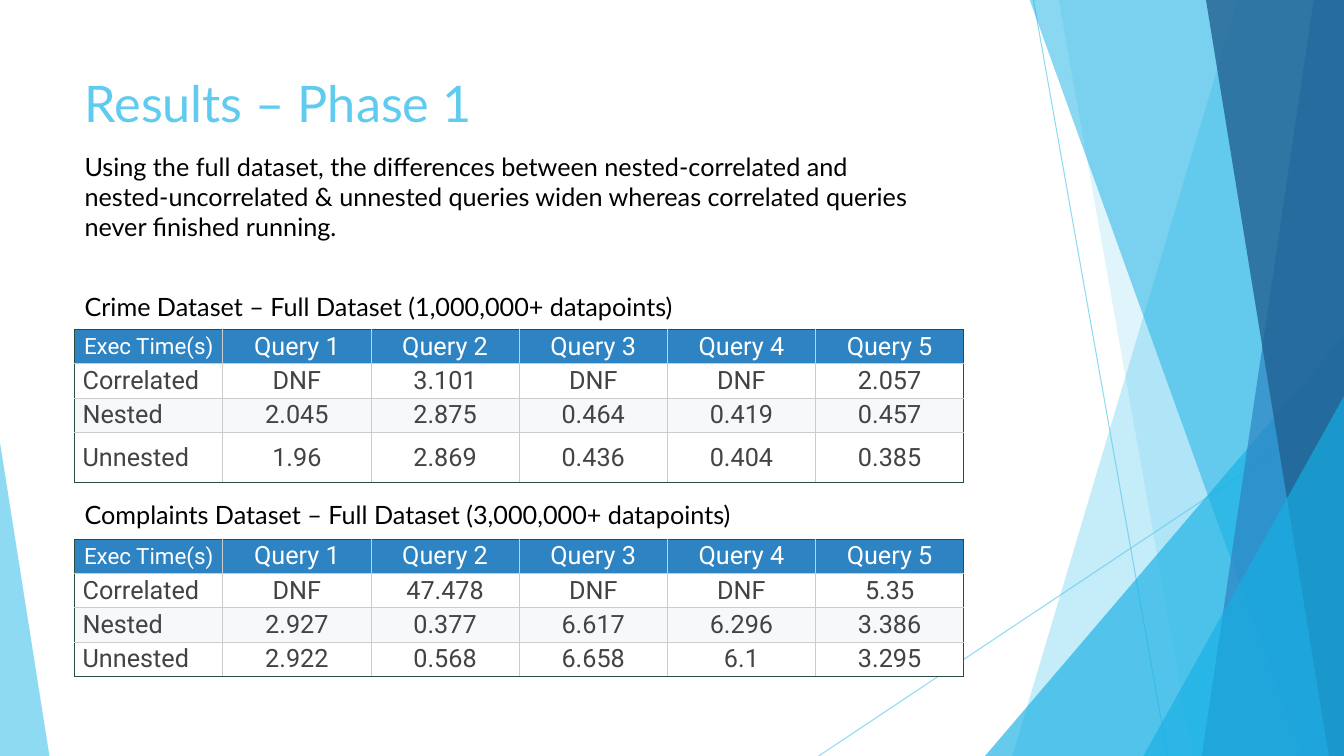
from dataclasses import dataclass

from lxml import etree
from pptx import Presentation
from pptx import util as u
from pptx.dml import color as dml
from pptx.enum import shapes, text
from pptx.oxml import ns

COLORS = {
    "sky": "5FCBEF",
    "cyan": "17B0E4",
    "blue": "2E83C3",
    "navy": "226292",
    "white": "FFFFFF",
    "stripe": "F6F8F9",
    "grid": "CCCCCC",
    "frame": "284E3F",
    "value": "434343",
    "black": "000000",
}
COLUMN_WIDTH = 1.47
LEFT = 0.74


@dataclass
class Ray:
    start: tuple[float, float]
    end: tuple[float, float]


@dataclass
class Shard:
    points: list[tuple[float, float]]
    color: str
    opacity: int


@dataclass
class Wedge:
    left: float
    top: float
    width: float
    height: float
    apex: int
    color: str
    opacity: int


@dataclass
class Caption:
    words: str
    top: float
    width: float
    height: float
    size: int = 18
    color: str = "black"


@dataclass
class Timing:
    top: float
    row_heights: list[float]
    results: dict[str, list[str]]


RAYS = [Ray((10.25, 0), (11.58, 7.5)), Ray((13.33, 4.03), (8.12, 7.5))]


def band(top_left: float, bottom_left: float, color: str, opacity: int) -> Shard:
    return Shard([(top_left, -0.01), (13.33, -0.01), (13.33, 7.5), (bottom_left, 7.5)], color, opacity)


FACETS = [
    band(12.28, 10.04, "sky", 36),
    band(10.5, 11.83, "sky", 20),
    Wedge(9.77, 3.33, 3.56, 4.17, 1, "cyan", 66),
    band(10.21, 12.91, "cyan", 50),
    band(13.03, 11.92, "blue", 70),
    band(11.96, 13.18, "navy", 80),
    Wedge(11.34, 3.93, 1.99, 3.57, 1, "cyan", 66),
    Wedge(0, 4.39, 0.49, 3.11, 0, "sky", 70),
]

CAPTIONS = [
    Caption("Results – Phase 1", 0.67, 9.4, 0.75, 36, "sky"),
    Caption("Crime Dataset – Full Dataset (1,000,000+ datapoints)", 2.84, 6.95, 0.4),
    Caption("Complaints Dataset – Full Dataset (3,000,000+ datapoints)", 4.9, 7.32, 0.4),
    Caption(
        "Using the full dataset, the differences between nested-correlated and "
        "nested-uncorrelated & unnested queries widen whereas correlated queries "
        "never finished running.",
        1.45, 8.54, 1.31,
    ),
]

HEADINGS = ["Exec Time(s)"] + [f"Query {number}" for number in range(1, 6)]
TIMINGS = [
    Timing(3.27, [0.34, 0.34, 0.34, 0.5], {
        "Correlated": ["DNF", "3.101", "DNF", "DNF", "2.057"],
        "Nested": ["2.045", "2.875", "0.464", "0.419", "0.457"],
        "Unnested": ["1.96", "2.869", "0.436", "0.404", "0.385"],
    }),
    Timing(5.35, [0.34] * 4, {
        "Correlated": ["DNF", "47.478", "DNF", "DNF", "5.35"],
        "Nested": ["2.927", "0.377", "6.617", "6.296", "3.386"],
        "Unnested": ["2.922", "0.568", "6.658", "6.1", "3.295"],
    }),
]


def rgb(name: str) -> dml.RGBColor:
    return dml.RGBColor.from_string(COLORS[name])


def set_opacity(element, percent: int) -> None:
    tint = next(element.iter(ns.qn("a:srgbClr")))
    etree.SubElement(tint, ns.qn("a:alpha"), val=str(percent * 1000))


def write(frame, words: str, *, size: int, color: str, font: str = "Lato", centered: bool = False) -> None:
    paragraph = frame.paragraphs[0]
    paragraph.alignment = text.PP_ALIGN.CENTER if centered else text.PP_ALIGN.LEFT
    run = paragraph.add_run()
    run.text = words
    run.font.size = u.Pt(size)
    run.font.name = font
    run.font.color.rgb = rgb(color)


def draw_ray(slide, ray: Ray) -> None:
    line = slide.shapes.add_connector(
        shapes.MSO_CONNECTOR.STRAIGHT, *[u.Inches(n) for n in ray.start + ray.end])
    line.line.color.rgb = rgb("sky")
    line.line.width = u.Pt(0.75)
    properties = line._element.spPr
    set_opacity(properties, 70)
    etree.SubElement(properties, ns.qn("a:effectLst"))


def draw_facet(slide, facet: Shard | Wedge) -> None:
    if isinstance(facet, Wedge):
        sides = (facet.left, facet.top, facet.width, facet.height)
        shape = slide.shapes.add_shape(
            shapes.MSO_SHAPE.ISOSCELES_TRIANGLE, *[u.Inches(n) for n in sides])
        shape.adjustments[0] = facet.apex
    else:
        corners = [(u.Inches(x), u.Inches(y)) for x, y in facet.points]
        outline = slide.shapes.build_freeform(*corners[0])
        outline.add_line_segments(corners[1:], close=True)
        shape = outline.convert_to_shape()
    shape.shadow.inherit = False
    shape.fill.solid()
    shape.fill.fore_color.rgb = rgb(facet.color)
    set_opacity(shape._element.spPr, facet.opacity)
    shape.line.fill.background()


def draw_caption(slide, caption: Caption) -> None:
    sides = (LEFT, caption.top, caption.width, caption.height)
    frame = slide.shapes.add_textbox(*[u.Inches(n) for n in sides]).text_frame
    frame.word_wrap = True
    write(frame, caption.words, size=caption.size, color=caption.color)


def set_borders(cell, edges: dict[str, bool]) -> None:
    properties = cell._tc.get_or_add_tcPr()
    for position, (side, outer) in enumerate(edges.items()):
        border = etree.Element(ns.qn(f"a:ln{side}"), w=str(u.Pt(0.75)))
        fill = etree.SubElement(border, ns.qn("a:solidFill"))
        etree.SubElement(fill, ns.qn("a:srgbClr"), val=COLORS["frame" if outer else "grid"])
        properties.insert(position, border)


def draw_timing(slide, timing: Timing) -> None:
    rows = [HEADINGS] + [[kind, *times] for kind, times in timing.results.items()]
    last_row, last_column = len(rows) - 1, len(HEADINGS) - 1
    sides = (LEFT, timing.top, COLUMN_WIDTH * len(HEADINGS), sum(timing.row_heights))
    table = slide.shapes.add_table(
        len(rows), len(HEADINGS), *[u.Inches(n) for n in sides]).table
    for column in table.columns:
        column.width = u.Inches(COLUMN_WIDTH)
    for r, (height, values) in enumerate(zip(timing.row_heights, rows)):
        table.rows[r].height = u.Inches(height)
        for c, value in enumerate(values):
            cell = table.cell(r, c)
            cell.margin_left = cell.margin_right = u.Inches(0.08)
            cell.margin_top = cell.margin_bottom = u.Inches(0.02)
            cell.vertical_anchor = text.MSO_ANCHOR.MIDDLE
            cell.fill.solid()
            cell.fill.fore_color.rgb = rgb(("blue", "white", "stripe", "white")[r])
            set_borders(cell, {"L": c == 0, "R": c == last_column, "T": r == 0, "B": r == last_row})
            write(cell.text_frame, value, size=16 if r == c == 0 else 18,
                  color="value" if r else "white", font="Roboto", centered=r == 0 or c > 0)


def main() -> None:
    deck = Presentation()
    deck.slide_width, deck.slide_height = u.Inches(13.33), u.Inches(7.5)
    slide = deck.slides.add_slide(deck.slide_layouts[6])
    for ray in RAYS:
        draw_ray(slide, ray)
    for facet in FACETS:
        draw_facet(slide, facet)
    for timing in TIMINGS:
        draw_timing(slide, timing)
    for caption in CAPTIONS:
        draw_caption(slide, caption)
    deck.save("out.pptx")


if __name__ == "__main__":
    main()
